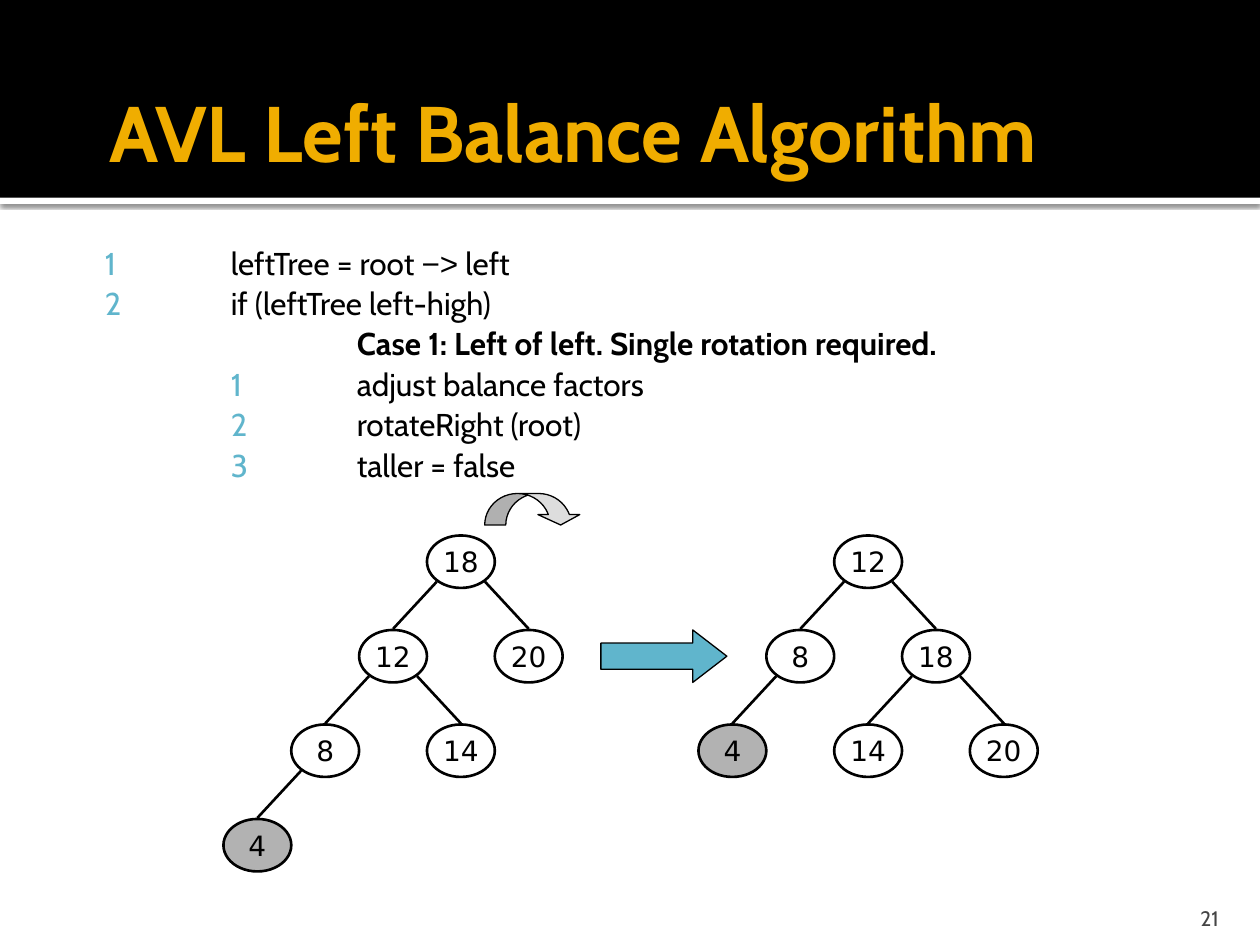
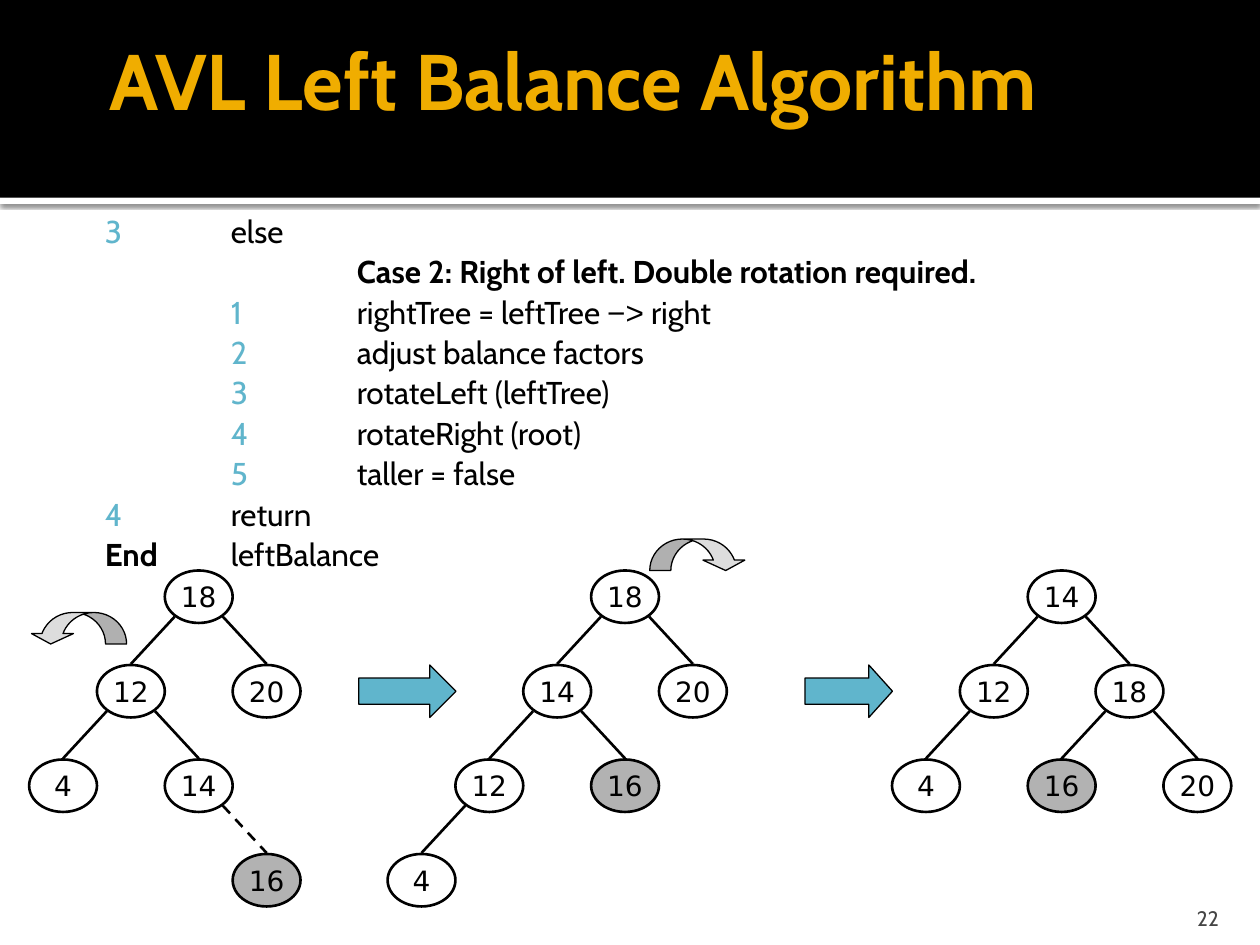
"""Builds two slides on the AVL left balance algorithm."""
from dataclasses import dataclass

from lxml import etree
from pptx import Presentation
from pptx.dml.color import RGBColor
from pptx.enum import dml, shapes, text
from pptx.oxml import ns
from pptx.util import Pt

BLACK, WHITE, GOLD, TEAL = "000000", "FFFFFF", "F0AD00", "60B5CC"
SHADED, PALE, FOOTER = "B2B2B2", "DDDDDD", "454545"
BODY_FONT, SYMBOL_FONT, NODE_FONT = "Cabin", "Arial", "DejaVu Sans"
TITLE = "AVL Left Balance Algorithm"
ARROW_SIGN = "−>"
TAB_STEP = 72
NODE_W, NODE_H, ROW_STEP = 38.77, 30, 54
CURVE_W, CURVE_H = 55.4, 18


@dataclass(frozen=True)
class Line:
    """One numbered line of pseudocode."""
    level: int
    label: str
    code: str
    bold: bool = False


@dataclass(frozen=True)
class Tree:
    """A binary tree; each key is the path of L and R turns from the root."""
    left: float
    top: float
    nodes: dict[str, int]
    shaded: str
    dashed: str = ""


@dataclass(frozen=True)
class Arrow:
    """A block arrow between two trees."""
    left: float
    top: float
    width: float
    head: float


@dataclass(frozen=True)
class Turn:
    """A curved arrow that shows a rotation."""
    left: float
    top: float
    to_left: bool = False


@dataclass(frozen=True)
class Page:
    """Everything that differs between slides."""
    number: int
    title_top: float
    body_top: float
    body_height: float
    lines: list[Line]
    trees: list[Tree]
    arrows: list[Arrow]
    turns: list[Turn]


PAGES = [
    Page(21, 30, 132, 324, [
        Line(0, "1", "leftTree = root −> left"),
        Line(0, "2", "if (leftTree left-high)"),
        Line(1, "", "Case 1: Left of left. Single rotation required.", True),
        Line(1, "1", "adjust balance factors"),
        Line(1, "2", "rotateRight (root)"),
        Line(1, "3", "taller = false"),
    ], [
        Tree(244, 306, {"": 18, "L": 12, "R": 20, "LL": 8, "LR": 14, "LLL": 4}, "LLL"),
        Tree(476.7, 306, {"": 12, "L": 8, "R": 18, "LL": 4, "RL": 14, "RR": 20}, "LL"),
    ], [Arrow(343.4, 360, 72, 0.65)], [Turn(277, 282)]),
    Page(22, 0, 113.8, 222, [
        Line(0, "3", "else"),
        Line(1, "", "Case 2: Right of left. Double rotation required.", True),
        Line(1, "1", "rightTree = leftTree −> right"),
        Line(1, "2", "adjust balance factors"),
        Line(1, "3", "rotateLeft (leftTree)"),
        Line(1, "4", "rotateRight (root)"),
        Line(1, "5", "taller = false"),
        Line(0, "4", "return"),
        Line(0, "End", "leftBalance"),
    ], [
        Tree(94.2, 326, {"": 18, "L": 12, "R": 20, "LL": 4, "LR": 14, "LRR": 16}, "LRR", "LRR"),
        Tree(337.8, 326, {"": 18, "L": 14, "R": 20, "LL": 12, "LR": 16, "LLL": 4}, "LR"),
        Tree(587.3, 326, {"": 14, "L": 12, "R": 18, "LL": 4, "RL": 16, "RR": 20}, "RL"),
    ], [Arrow(205, 380, 55.6, 0.5), Arrow(460, 380, 50, 0.45)],
        [Turn(17, 350, True), Turn(371.3, 308)]),
]


def rgb(value: str) -> RGBColor:
    """Turn a hex string into a colour."""
    return RGBColor.from_string(value)


def add_run(p, content: str, size: float, color: str, font: str = BODY_FONT, bold: bool = False):
    """Add one styled run to a paragraph."""
    r = p.add_run()
    r.text = content
    r.font.size, r.font.name, r.font.bold = Pt(size), font, bold
    r.font.color.rgb = rgb(color)


def add_shape(s, kind, left: float, top: float, width: float, height: float,
              fill: str = "", line: float = 0):
    """Add a preset shape without a theme shadow."""
    sp = s.shapes.add_shape(kind, Pt(left), Pt(top), Pt(width), Pt(height))
    sp.shadow.inherit = False
    if fill:
        sp.fill.solid()
        sp.fill.fore_color.rgb = rgb(fill)
    else:
        sp.fill.background()
    if line:
        sp.line.width = Pt(line)
        sp.line.color.rgb = rgb(BLACK)
    else:
        sp.line.fill.background()
    return sp


def add_text(s, left: float, top: float, width: float, height: float,
             insets: tuple[float, float, float, float], anchor):
    """Add a wrapping text box and return its frame."""
    tf = s.shapes.add_textbox(Pt(left), Pt(top), Pt(width), Pt(height)).text_frame
    tf.word_wrap = True
    tf.vertical_anchor = anchor
    tf.margin_left, tf.margin_top, tf.margin_right, tf.margin_bottom = map(Pt, insets)
    return tf


def add_frame(s, page: Page):
    """Draw the header band, title and slide number."""
    rule = add_shape(s, shapes.MSO_SHAPE.RECTANGLE, 0, 113, 720, 3.6, WHITE)
    effects = rule._element.spPr.find(ns.qn("a:effectLst"))
    shadow = etree.SubElement(effects, ns.qn("a:outerShdw"), blurRad=str(Pt(2.5)),
                              dist=str(Pt(0.8)), dir="5400000", algn="tl", rotWithShape="0")
    color = etree.SubElement(shadow, ns.qn("a:srgbClr"), val=BLACK)
    etree.SubElement(color, ns.qn("a:alpha"), val="60000")
    add_shape(s, shapes.MSO_SHAPE.RECTANGLE, 0, 0, 720, 113, BLACK)
    p = add_text(s, 646, 510, 57.6, 21.6, (7.2, 3.6, 7.2, 0), text.MSO_ANCHOR.BOTTOM).paragraphs[0]
    p.alignment = text.PP_ALIGN.RIGHT
    add_run(p, str(page.number), 12, FOOTER)
    tf = add_text(s, 55.4, page.title_top, 612, 90, (7.2, 3.6, 3.6, 3.6), text.MSO_ANCHOR.MIDDLE)
    add_run(tf.paragraphs[0], TITLE, 45, GOLD, bold=True)


def add_code(s, page: Page):
    """Write the pseudocode on tab stops."""
    tf = add_text(s, 55.4, page.body_top, 612, page.body_height, (4.5, 7.2, 7.2, 3.6),
                  text.MSO_ANCHOR.TOP)
    for i, line in enumerate(page.lines):
        p = tf.add_paragraph() if i else tf.paragraphs[0]
        p.space_after = Pt(1.5)
        tabs = etree.SubElement(p._p.get_or_add_pPr(), ns.qn("a:tabLst"))
        for stop in (1, 2):
            etree.SubElement(tabs, ns.qn("a:tab"), pos=str(Pt(stop * TAB_STEP)), algn="l")
        if line.level:
            add_run(p, "\t" * line.level, 18, BLACK)
        if line.label:
            numeric = line.label.isdigit()
            add_run(p, line.label, 18, TEAL if numeric else BLACK, bold=not numeric)
        before, sign, after = line.code.partition(ARROW_SIGN)
        add_run(p, "\t" + before, 18, BLACK, bold=line.bold)
        if sign:
            add_run(p, sign, 18, BLACK, SYMBOL_FONT)
            add_run(p, after, 18, BLACK)


def add_edge(s, x1: float, y1: float, x2: float, y2: float, dashed: bool):
    """Draw a line between a parent and a child."""
    cx = s.shapes.add_connector(shapes.MSO_CONNECTOR.STRAIGHT, Pt(x1), Pt(y1), Pt(x2), Pt(y2))
    cx.line.width = Pt(1.5)
    cx.line.color.rgb = rgb(BLACK)
    if dashed:
        cx.line.dash_style = dml.MSO_LINE.DASH
    etree.SubElement(cx._element.spPr, ns.qn("a:effectLst"))


def add_tree(s, tree: Tree):
    """Place each node by its turns and join it to its parent."""
    for turns, value in tree.nodes.items():
        left = tree.left + NODE_W * (turns.count("R") - turns.count("L"))
        top = tree.top + ROW_STEP * len(turns)
        sp = add_shape(s, shapes.MSO_SHAPE.OVAL, left, top, NODE_W, NODE_H,
                       SHADED if turns == tree.shaded else "", 1.5)
        tf = sp.text_frame
        tf.word_wrap = False
        tf.vertical_anchor = text.MSO_ANCHOR.MIDDLE
        p = tf.paragraphs[0]
        p.alignment = text.PP_ALIGN.CENTER
        add_run(p, str(value), 16, BLACK, NODE_FONT)
        if turns:
            side = 1 if turns.endswith("R") else -1
            x = left + NODE_W / 2
            add_edge(s, x - side * 25, top - ROW_STEP + 26.4, x, top - 0.6, turns == tree.dashed)


def add_arrow(s, arrow: Arrow):
    """Draw a block arrow."""
    sp = add_shape(s, shapes.MSO_SHAPE.RIGHT_ARROW, arrow.left, arrow.top, arrow.width, NODE_H,
                   TEAL, 0.75)
    sp.adjustments[0], sp.adjustments[1] = 0.5, arrow.head


def add_turn(s, turn: Turn):
    """Draw a rotation arrow, mirrored for a left rotation."""
    sp = add_shape(s, shapes.MSO_SHAPE.CURVED_DOWN_ARROW, turn.left, turn.top, CURVE_W, CURVE_H,
                   PALE, 0.75)
    for i, value in enumerate((0.67, 1.33, 0.33)):
        sp.adjustments[i] = value
    if turn.to_left:
        sp._element.spPr.find(ns.qn("a:xfrm")).set("flipH", "1")


def main():
    """Build and save the slides."""
    prs = Presentation()
    prs.slide_width, prs.slide_height = Pt(720), Pt(540)
    for page in PAGES:
        s = prs.slides.add_slide(prs.slide_layouts[6])
        add_frame(s, page)
        add_code(s, page)
        for items, draw in ((page.trees, add_tree), (page.arrows, add_arrow),
                            (page.turns, add_turn)):
            for item in items:
                draw(s, item)
    prs.save("out.pptx")


if __name__ == "__main__":
    main()
